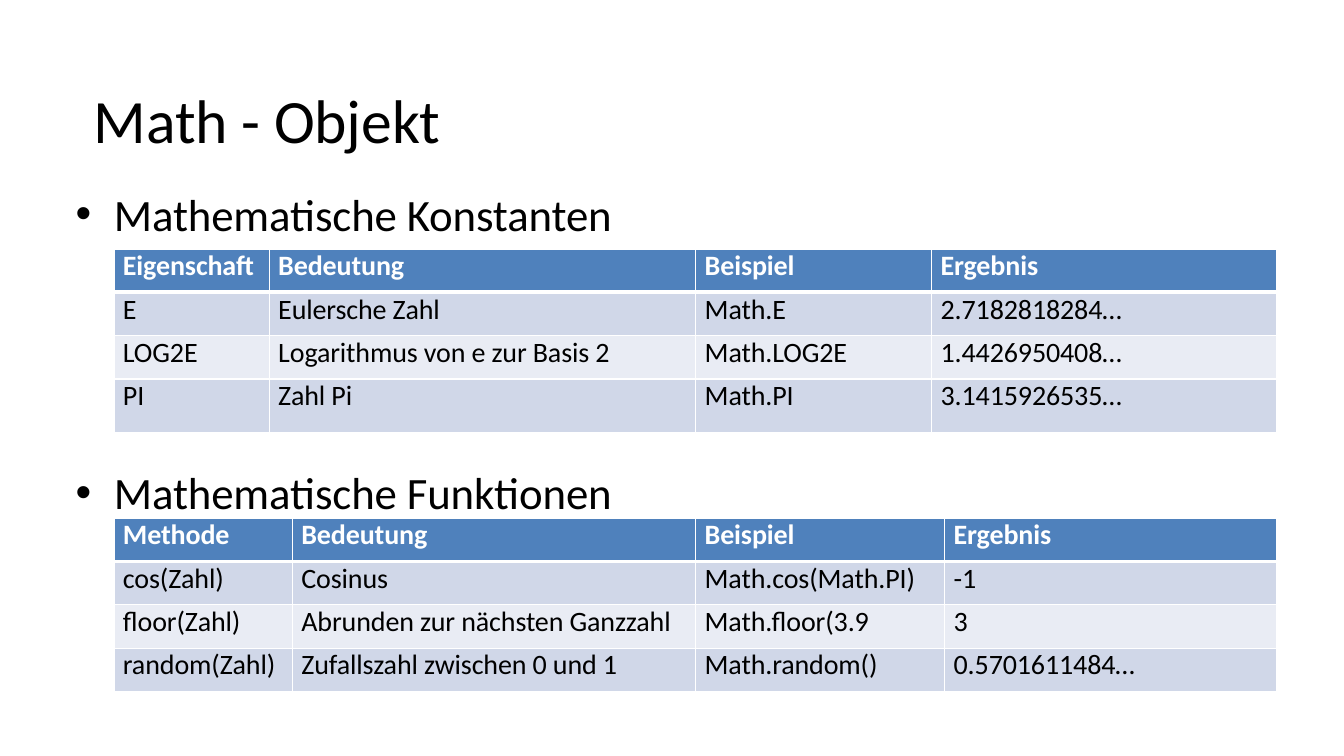
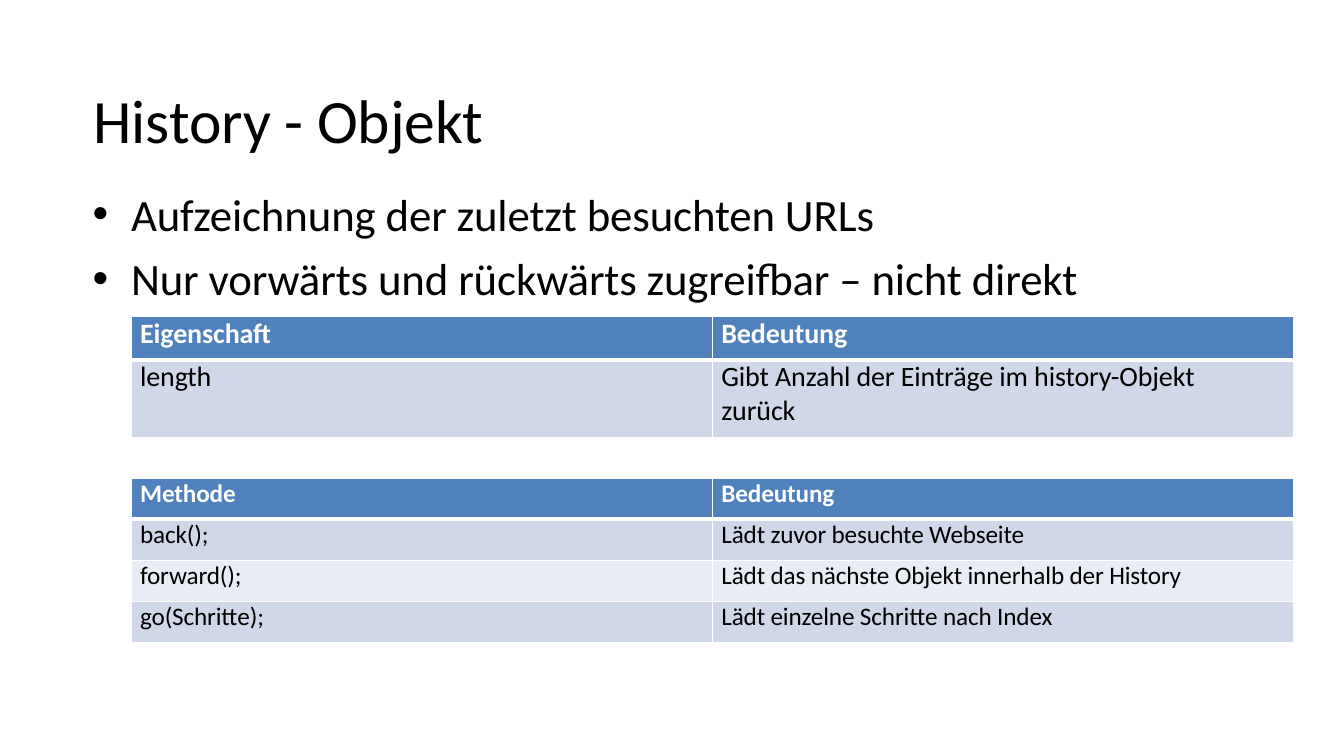
from lxml import etree
from pptx import Presentation, util as u
from pptx.dml.color import RGBColor
from pptx.enum import text
from pptx.oxml import ns

WIDTH, HEIGHT = 13.33, 7.5
FONT = "Calibri"
BLACK, WHITE = "000000", "FFFFFF"
HEADER, BANDS = "4F81BC", ("D0D7E8", "E9ECF4")
TITLE_BOX = (0.92, 0.5, 11.5, 1.35)
BODY_TOP = 1.85
INDENT = 0.38
TABLE_WIDTH = 11.53
CELL_INSET = 0.09
THIN, THICK = 1, 3


def color(value):
    return RGBColor.from_string(value)


def apply(target, **values):
    for name, value in values.items():
        setattr(target, name, value)


def write(para, words, size, ink=BLACK, bold=False, before=0):
    para.text = words
    apply(para, alignment=text.PP_ALIGN.LEFT, space_before=u.Pt(before))
    for span in para.runs:
        apply(span.font, name=FONT, size=u.Pt(size), bold=bold)
        span.font.color.rgb = color(ink)
        span.font._element.set("spc", "-10")


def set_frame(frame, anchor):
    apply(frame, word_wrap=True, vertical_anchor=anchor, auto_size=text.MSO_AUTO_SIZE.NONE,
          margin_left=0, margin_top=0, margin_right=0, margin_bottom=0)


def add_page(deck, title):
    page = deck.slides.add_slide(deck.slide_layouts[5])
    shape = page.shapes.title
    left, top, width, height = map(u.Inches, TITLE_BOX)
    apply(shape, left=left, top=top, width=width, height=height)
    set_frame(shape.text_frame, text.MSO_ANCHOR.MIDDLE)
    shape.text_frame.margin_left = u.Inches(0.01)
    write(shape.text_frame.paragraphs[0], title, 44)
    return page


def add_bullets(page, box, lines):
    frame = page.shapes.add_textbox(*map(u.Inches, box)).text_frame
    set_frame(frame, text.MSO_ANCHOR.TOP)
    for index, line in enumerate(lines):
        para = frame.add_paragraph() if index else frame.paragraphs[0]
        write(para, line, 32, before=7.7 if index else 0)
        props = para._p.get_or_add_pPr()
        props.set("marL", str(u.Inches(INDENT)))
        props.set("indent", str(-u.Inches(INDENT)))
        etree.SubElement(props, ns.qn("a:buFont")).set("typeface", "Arial")
        etree.SubElement(props, ns.qn("a:buChar")).set("char", "•")


def set_borders(cell, top, bottom):
    """Draw white edges; they must come before the fill in the cell's XML."""
    props = cell._tc.get_or_add_tcPr()
    edges = {"lnL": THIN, "lnR": THIN, "lnT": top, "lnB": bottom}
    for name, points in edges.items():
        line = etree.SubElement(props, ns.qn("a:" + name), w=str(u.Pt(points)))
        fill = etree.SubElement(line, ns.qn("a:solidFill"))
        etree.SubElement(fill, ns.qn("a:srgbClr"), val=WHITE)


def add_grid(page, left, top, columns, heights, rows, size=20):
    """Place a table whose columns share TABLE_WIDTH in the given proportions."""
    box = (left, top, TABLE_WIDTH, sum(heights))
    table = page.shapes.add_table(len(rows), len(columns), *map(u.Inches, box)).table
    apply(table, first_row=False, horz_banding=False)
    for column, share in zip(table.columns, columns):
        column.width = u.Inches(TABLE_WIDTH * share / sum(columns))
    for number, (row, height, words) in enumerate(zip(table.rows, heights, rows)):
        row.height = u.Inches(height)
        is_header = number == 0
        for cell, word in zip(row.cells, words):
            apply(cell, margin_left=u.Inches(CELL_INSET), margin_top=0, margin_right=0,
                  margin_bottom=0, vertical_anchor=text.MSO_ANCHOR.TOP)
            set_borders(cell, THICK if number == 1 else THIN, THICK if is_header else THIN)
            cell.fill.solid()
            cell.fill.fore_color.rgb = color(HEADER if is_header else BANDS[(number - 1) % 2])
            write(cell.text_frame.paragraphs[0], word, size, WHITE if is_header else BLACK,
                  is_header, 0.8 if number == 1 else 1.9)


def add_math_page(deck):
    page = add_page(deck, "Math - Objekt")
    left = 0.75
    sections = [
        ("Mathematische Konstanten", BODY_TOP, 2.47, (1.54, 4.23, 2.34, 3.42),
         (0.43, 0.43, 0.43, 0.53),
         [("Eigenschaft", "Bedeutung", "Beispiel", "Ergebnis"),
          ("E", "Eulersche Zahl", "Math.E", "2.7182818284…"),
          ("LOG2E", "Logarithmus von e zur Basis 2", "Math.LOG2E", "1.4426950408…"),
          ("PI", "Zahl Pi", "Math.PI", "3.1415926535…")]),
        ("Mathematische Funktionen", 4.61, 5.14, (1.77, 4, 2.47, 3.29), (0.43,) * 4,
         [("Methode", "Bedeutung", "Beispiel", "Ergebnis"),
          ("cos(Zahl)", "Cosinus", "Math.cos(Math.PI)", "-1"),
          ("floor(Zahl)", "Abrunden zur nächsten Ganzzahl", "Math.floor(3.9", "3"),
          ("random(Zahl)", "Zufallszahl zwischen 0 und 1", "Math.random()",
           "0.5701611484…")]),
    ]
    for heading, heading_top, table_top, columns, heights, rows in sections:
        add_bullets(page, (left, heading_top, 5.38, 0.57), [heading])
        add_grid(page, left + INDENT, table_top, columns, heights, rows)


def add_history_page(deck):
    page = add_page(deck, "History - Objekt")
    left = TITLE_BOX[0]
    add_bullets(page, (left, BODY_TOP, 9.87, 1.21),
                ["Aufzeichnung der zuletzt besuchten URLs",
                 "Nur vorwärts und rückwärts zugreifbar – nicht direkt"])
    add_grid(page, left + INDENT, 3.14, (1, 1), (0.43, 0.77),
             [("Eigenschaft", "Bedeutung"),
              ("length", "Gibt Anzahl der Einträge im history-Objekt\vzurück")])
    add_grid(page, left + INDENT, 4.75, (1, 1), (0.4, 0.41, 0.41, 0.41),
             [("Methode", "Bedeutung"),
              ("back();", "Lädt zuvor besuchte Webseite"),
              ("forward();", "Lädt das nächste Objekt innerhalb der History"),
              ("go(Schritte);", "Lädt einzelne Schritte nach Index")], size=18)


def main():
    deck = Presentation()
    apply(deck, slide_width=u.Inches(WIDTH), slide_height=u.Inches(HEIGHT))
    add_math_page(deck)
    add_history_page(deck)
    deck.save("out.pptx")


if __name__ == "__main__":
    main()
